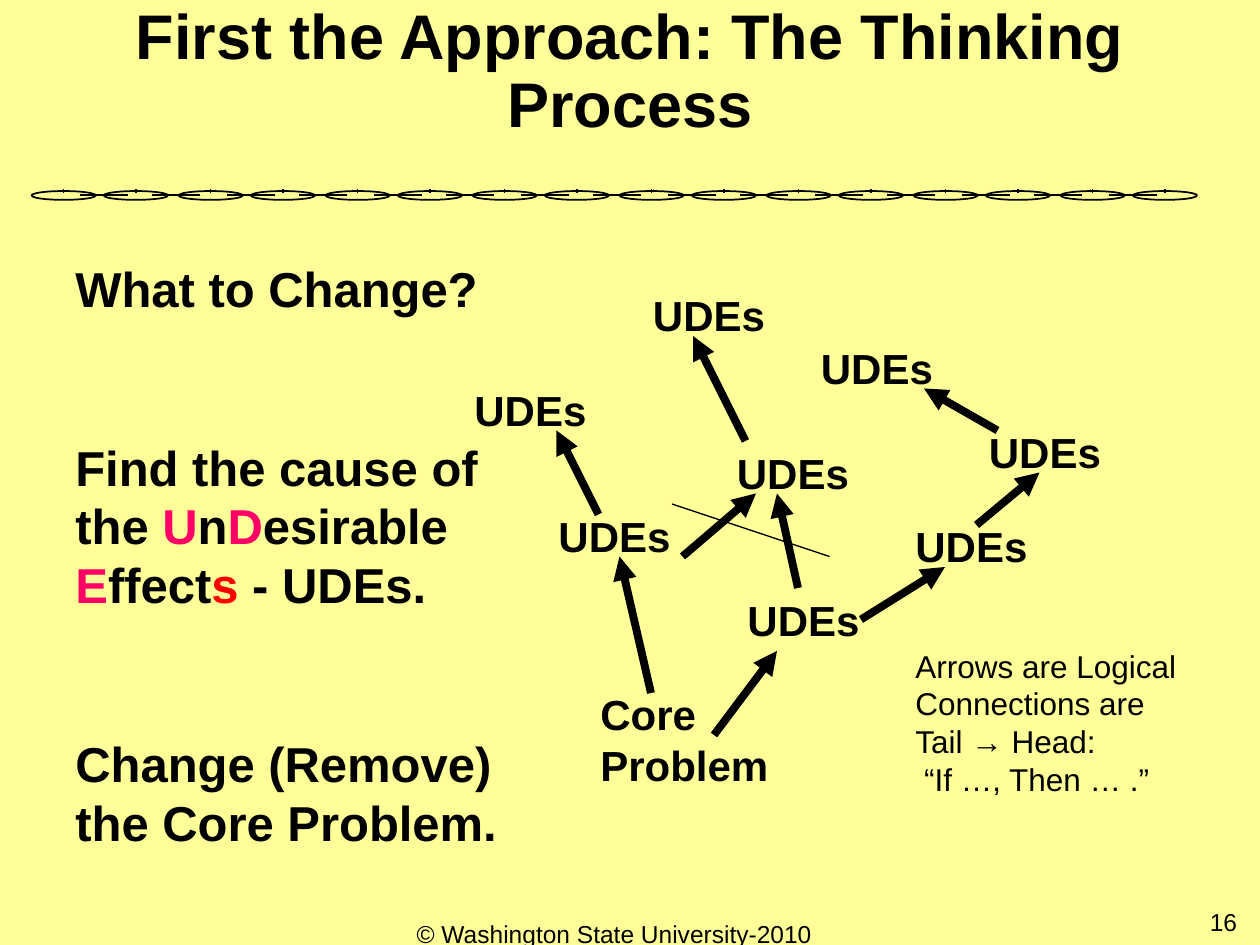
from lxml.etree import SubElement
from pptx import Presentation
from pptx.dml.color import RGBColor
from pptx.enum.shapes import MSO_CONNECTOR, MSO_SHAPE
from pptx.enum.text import MSO_ANCHOR, PP_ALIGN
from pptx.oxml.ns import qn
from pptx.util import Cm, Pt

GRID = 2.54 / 12  # cm per grid step; all positions below are in grid steps
BLACK, PINK, RED = "000000", "FF0066", "FF0000"
rgb = RGBColor.from_string

prs = Presentation()
prs.slide_width, prs.slide_height = Cm(25.4), Cm(19.05)
s = prs.slides.add_slide(prs.slide_layouts[6])
s.background.fill.solid()
s.background.fill.fore_color.rgb = rgb("FFFF99")


def add_text(box, paragraphs, size, bold=False, align=PP_ALIGN.LEFT, **para_format):
    """Add a text box; a paragraph is a list of (text, colour), "\\n" being a line break."""
    tf = s.shapes.add_textbox(*[Cm(v * GRID) for v in box]).text_frame
    tf.word_wrap = True
    for i, runs in enumerate(paragraphs):
        p = tf.paragraphs[0] if i == 0 else tf.add_paragraph()
        p.alignment = align
        for name, value in para_format.items():
            if i or name != "space_before":
                setattr(p, name, value)
        for text, color in runs:
            if text == "\n":
                p.add_line_break()
                continue
            r = p.add_run()
            r.text = text
            for name, value in {"name": "Arial", "size": Pt(size), "bold": bold}.items():
                setattr(r.font, name, value)
            r.font.color.rgb = rgb(color)
    return tf


def add_line(x1, y1, x2, y2, width, arrow=False):
    ends = [Cm(v * GRID) for v in (x1, y1, x2, y2)]
    sp = s.shapes.add_connector(MSO_CONNECTOR.STRAIGHT, *ends)
    sp.line.width = Pt(width)
    sp.line.color.rgb = rgb(BLACK)
    if arrow:
        SubElement(sp.line._get_or_add_ln(), qn("a:tailEnd"), type="triangle")
    SubElement(sp._element.spPr, qn("a:effectLst"))


# Chain below the title: links come in pairs, one pair every 14 steps
links = 16
for i in range(links):
    x = 3 + 14 * (i // 2) + 6.88 * (i % 2)
    sp = s.shapes.add_shape(MSO_SHAPE.OVAL, *[Cm(v * GRID) for v in (x, 18.2, 6.12, 0.84)])
    sp.shadow.inherit = False
    sp.fill.background()
    sp.line.width = Pt(1)
    sp.line.color.rgb = rgb(BLACK)
    add_line(x + 3.06, 18, x + 3.06, 18.4, 1)
    if i < links - 1:
        add_line(x + 9.2, 18.6, x + 4.6, 18.6, 1)

# Footer, slide number and title
add_text((36, 86.9, 45, 6.2), [[("© Washington State University-2010", BLACK)]], 14,
         align=PP_ALIGN.CENTER)
add_text((91, 85.8, 28, 6.2), [[("16", BLACK)]], 14, align=PP_ALIGN.RIGHT)
title = add_text((0, 5, 120, 9), [[("First the Approach: The Thinking Process", BLACK)]], 36,
                 bold=True, align=PP_ALIGN.CENTER, line_spacing=0.9)
title.vertical_anchor = MSO_ANCHOR.BOTTOM

# Three steps on the left
steps = [
    [("What to Change?", BLACK)],
    [("Find the cause of the ", BLACK), ("U", PINK), ("n", BLACK), ("D", PINK),
     ("esirable", BLACK), ("\n", BLACK), ("E", PINK), ("ffect", BLACK), ("s", RED),
     (" - UDEs.", BLACK)],
    [("Change (Remove) the Core Problem.", BLACK)],
]
add_text((6, 24, 44, 57.7), steps, 28, bold=True, space_before=Pt(68.6))

# Cause-and-effect tree
udes = [(86, 49), (61, 27), (77, 32), (44, 36), (93, 40), (52, 48), (69, 42), (70, 56)]
for x, y in udes:
    add_text((x, y, 14, 6), [[("UDEs", BLACK)]], 24, bold=True)
add_text((56, 65, 19, 10.8), [[("Core Problem", BLACK)]], 24, bold=True)

arrows = [
    (68, 70, 74, 62), (76, 56, 74, 47), (82, 59, 90, 54),
    (93, 50, 99, 45), (62, 66, 59, 53), (65, 53, 72, 47),
    (57, 49, 53, 41), (71, 42, 66, 32), (95, 41, 88, 37),
]
for ends in arrows:
    add_line(*ends, 4.5, arrow=True)
add_line(64, 48, 79, 53, 0.75)

note = [("Arrows are Logical Connections are Tail → Head:", BLACK), ("\n", BLACK),
        (" “If …, Then … .”", BLACK)]
add_text((86, 61, 28, 15.6), [note], 18)

prs.save("out.pptx")
